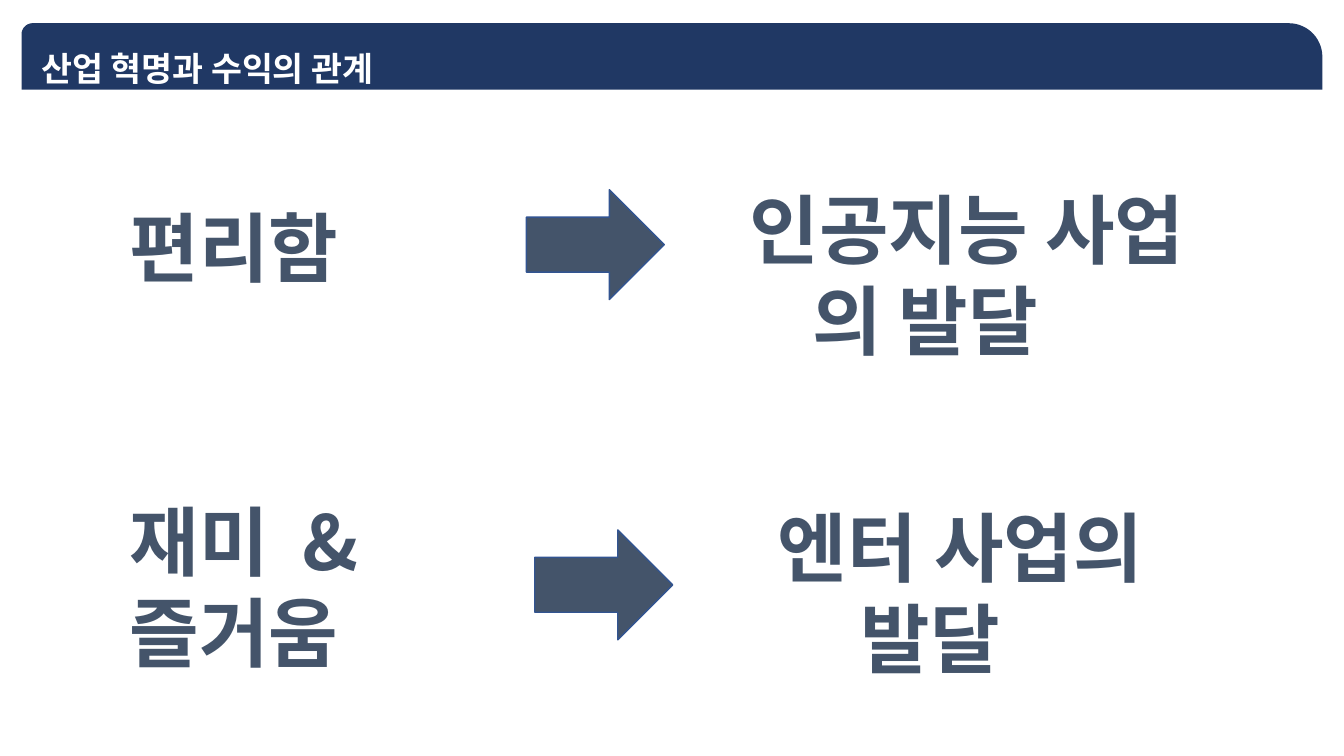
import math

from pptx import Presentation
from pptx import util as u
from pptx.dml.color import RGBColor
from pptx.enum import shapes, text
from pptx.oxml.ns import qn

# Content
TITLE = "산업 혁명과 수익의 관계"
# Each label: left, top, width, height, lines of (indent, runs)
LABELS = [
    (85.7, 136, 178, 73, [(0, ["편리함"])]),
    (85.7, 346.3, 209, 138, [(0, ["재미", " ", "&"]), (0, ["즐거움"])]),
    (528.5, 123, 361, 138, [(0, ["인공지능 사업"]), (44.5, ["의 발달"])]),
    (548.6, 350.6, 325, 138, [(0, ["엔터 사업의"]), (59, ["발달"])]),
]
ARROWS = [(376, 135.5), (382, 378.5)]
ARROW_SIZE = (98.5, 78.5)
BAR = (15.4, 16.6, 944.6, 64)  # left, top, right, bottom
BAR_RADII = (8, 24)  # top left, top right

# Formats
NAVY, SLATE, EDGE, WHITE = "203864", "44546A", "325491", "FFFFFF"
FONT = "Noto Sans CJK KR"
LINE_RATIO = 1.205
WIDE_SPACE = 1200  # hundredths of a point
TITLE_FORMAT = {"name": FONT, "size": u.Pt(24), "bold": True}
LABEL_FORMAT = {"name": FONT, "size": u.Pt(54), "bold": True}


def color(value):
    return RGBColor.from_string(value)


def format_paragraph(paragraph, values, fill):
    paragraph.alignment = text.PP_ALIGN.LEFT
    paragraph.space_before = u.Pt(0)
    paragraph.line_spacing = u.Pt(values["size"].pt * LINE_RATIO)
    for run in paragraph.runs:
        for name, value in values.items():
            setattr(run.font, name, value)
        run.font.color.rgb = color(fill)
        properties = run.font._element
        east_asian = properties.makeelement(qn("a:ea"), {"typeface": FONT})
        properties.find(qn("a:latin")).addnext(east_asian)
        if run.text == " ":
            properties.set("spc", str(WIDE_SPACE))


def format_frame(frame):
    values = {"word_wrap": True, "auto_size": text.MSO_AUTO_SIZE.NONE,
              "vertical_anchor": text.MSO_ANCHOR.TOP,
              "margin_left": u.Pt(7.2), "margin_top": u.Pt(7.2)}
    for name, value in values.items():
        setattr(frame, name, value)


def corner(center_x, center_y, radius, start):
    """Points of a quarter circle, clockwise from the start angle."""
    angles = [math.radians(start + 6 * step) for step in range(16)]
    return [(center_x + radius * math.cos(a), center_y + radius * math.sin(a))
            for a in angles]


def add_bar(slide):
    left, top, right, bottom = BAR
    small, large = BAR_RADII
    points = [(left, bottom)]
    points += corner(left + small, top + small, small, 180)
    points += corner(right - large, top + large, large, 270)
    points.append((right, bottom))
    points = [(u.Pt(x), u.Pt(y)) for x, y in points]
    builder = slide.shapes.build_freeform(*points[0])
    builder.add_line_segments(points[1:], close=True)
    shape = builder.convert_to_shape()
    shape.shadow.inherit = False
    shape.fill.solid()
    shape.fill.fore_color.rgb = color(NAVY)
    shape.line.fill.background()
    return shape


def add_label(slide, left, top, width, height, lines):
    box = slide.shapes.add_textbox(*map(u.Pt, (left, top, width, height)))
    frame = box.text_frame
    format_frame(frame)
    for number, (indent, runs) in enumerate(lines):
        paragraph = frame.add_paragraph() if number else frame.paragraphs[0]
        for words in runs:
            paragraph.add_run().text = words
        if indent:
            properties = paragraph._p.get_or_add_pPr()
            properties.set("marL", str(u.Pt(indent)))
            properties.set("indent", "0")
        format_paragraph(paragraph, LABEL_FORMAT, SLATE)


def add_arrow(slide, left, top):
    shape = slide.shapes.add_shape(shapes.MSO_SHAPE.RIGHT_ARROW,
                                   *map(u.Pt, (left, top, *ARROW_SIZE)))
    shape.shadow.inherit = False
    shape.fill.solid()
    shape.fill.fore_color.rgb = color(SLATE)
    shape.line.color.rgb = color(EDGE)
    shape.line.width = u.Pt(1)


def main():
    presentation = Presentation()
    presentation.slide_width = u.Pt(960)
    presentation.slide_height = u.Pt(540)
    slide = presentation.slides.add_slide(presentation.slide_layouts[5])

    # Title on its bar
    title = slide.shapes.title
    bar = add_bar(slide)
    title._element.addprevious(bar._element)
    title.left, title.top, title.width, title.height = map(
        u.Pt, (22.3, 26.6, 480, 36))
    title.text_frame.text = TITLE
    format_frame(title.text_frame)
    format_paragraph(title.text_frame.paragraphs[0], TITLE_FORMAT, WHITE)

    # Causes, effects and the arrows between them
    for label in LABELS:
        add_label(slide, *label)
    for arrow in ARROWS:
        add_arrow(slide, *arrow)

    presentation.save("out.pptx")


if __name__ == "__main__":
    main()
